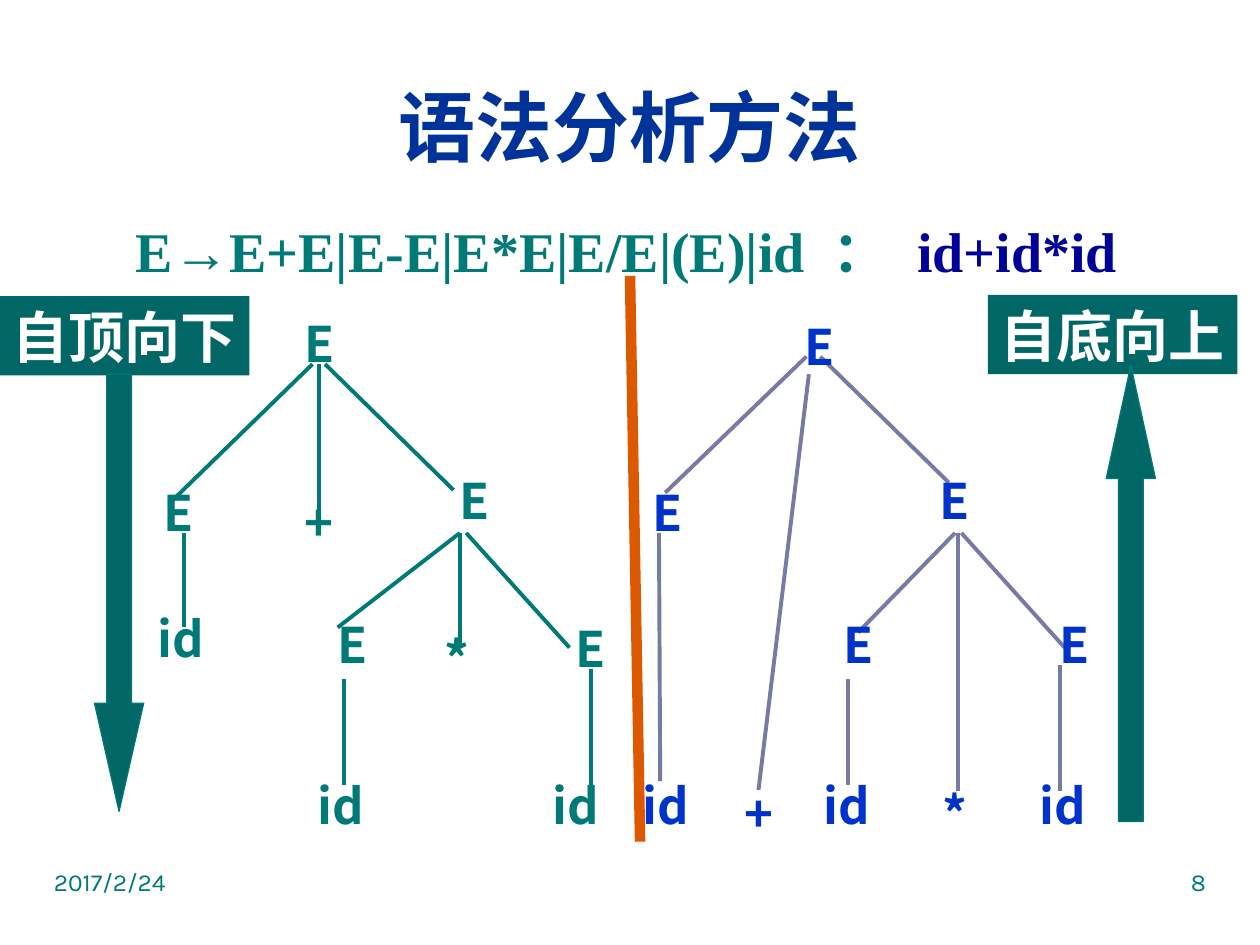
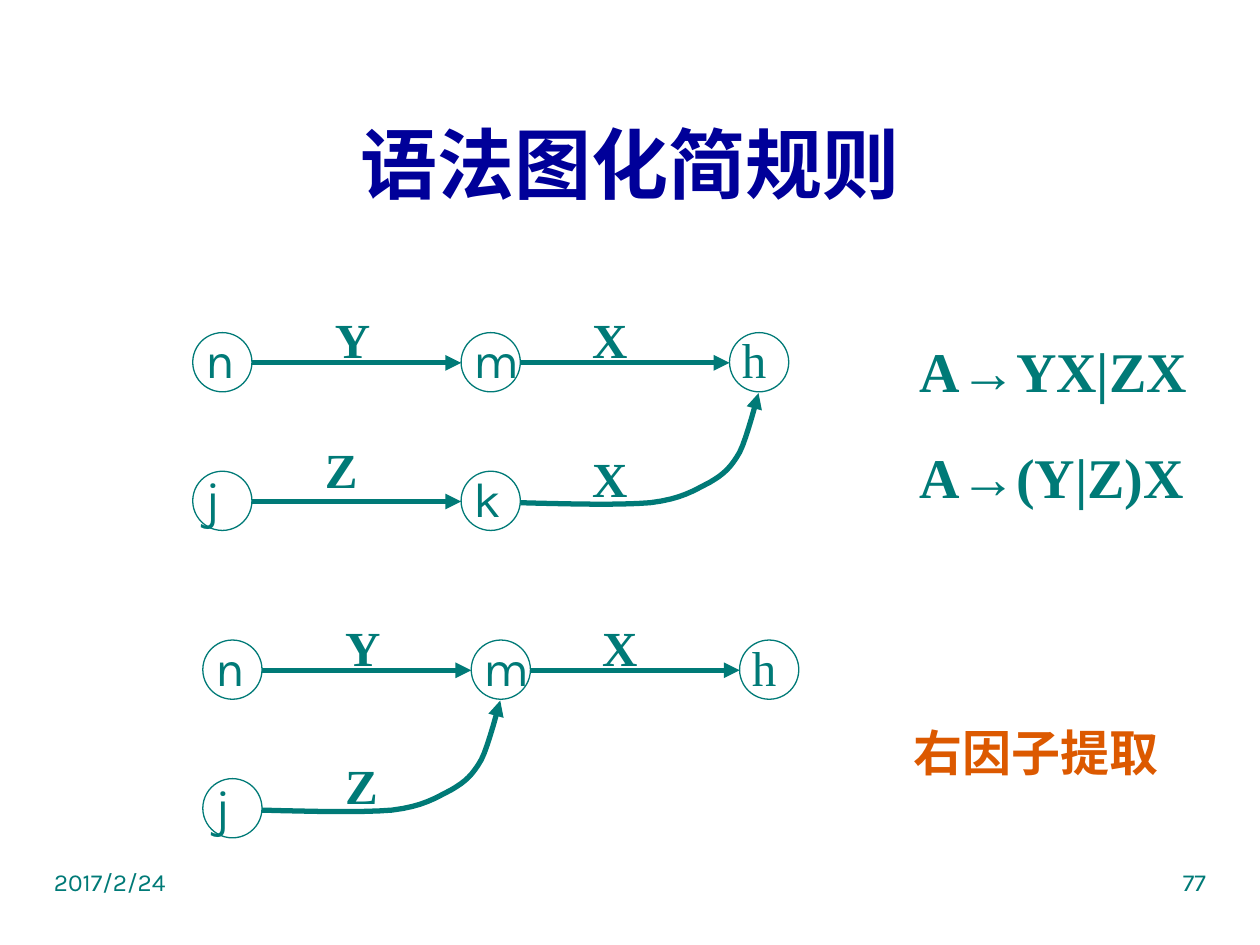
from lxml.etree import SubElement
from pptx import Presentation
from pptx.dml.color import RGBColor
from pptx.enum.shapes import MSO_CONNECTOR as LINE, MSO_SHAPE as SHAPE
from pptx.enum.text import MSO_ANCHOR as ANCHOR, PP_ALIGN as ALIGN
from pptx.oxml.ns import qn
from pptx.util import Inches, Pt

TEAL, DARK_TEAL, NAVY, BLUE = "007A77", "006666", "000099", "0033CC"
TITLE_BLUE, LILAC, ORANGE, WHITE = "003399", "7979A5", "DC5900", "FFFFFF"
SERIF, SANS, CJK = "Times New Roman", "Karla", "Noto Sans CJK SC"
DATE = "2017/2/24"

# Grammar line: (text, colour) runs, with tab stops in inches
GRAMMAR = [("E→E+E|E-E|E*E|E/E|(E)|id\t：\t", TEAL), ("id+id*id", NAVY)]
GRAMMAR_TABS = [5.53, 6.2]

# Parse trees: nodes are (text, left, top), branches are (x1, y1, x2, y2)
TREES = [
    {
        "text": TEAL, "line": TEAL,
        "nodes": [("E", 2.32, 2.39), ("E", 1.2, 3.73), ("+", 2.32, 3.81),
                  ("E", 3.55, 3.64), ("id", 1.15, 4.73), ("E", 2.58, 4.78),
                  ("*", 3.43, 4.89), ("E", 4.47, 4.81), ("id", 2.42, 6.06),
                  ("id", 4.29, 6.06)],
        "branches": [(1.36, 3.98, 2.48, 2.89), (2.53, 4.06, 2.53, 2.89),
                     (3.6, 3.89, 2.58, 2.89), (1.46, 4.98, 1.46, 4.23),
                     (2.68, 4.98, 3.65, 4.23), (3.65, 4.23, 3.65, 5.14),
                     (3.7, 4.23, 4.52, 5.14), (2.73, 5.39, 2.73, 6.23),
                     (4.69, 5.31, 4.69, 6.31)],
    },
    {
        "text": BLUE, "line": LILAC,
        "nodes": [("E", 6.29, 2.42), ("E", 5.08, 3.73), ("E", 7.36, 3.64),
                  ("E", 6.6, 4.78), ("E", 8.31, 4.78), ("id", 5, 6.06),
                  ("+", 5.81, 6.12), ("id", 6.44, 6.06), ("*", 7.38, 6.12),
                  ("id", 8.15, 6.06)],
        "branches": [(5.28, 3.91, 6.4, 2.83), (6.02, 6.27, 6.42, 2.97),
                     (7.53, 3.83, 6.51, 2.83), (5.24, 6.2, 5.23, 4.23),
                     (6.81, 5.02, 7.58, 4.23), (7.6, 4.23, 7.6, 6.28),
                     (7.63, 4.23, 8.45, 5.14), (6.73, 5.39, 6.73, 6.23),
                     (8.41, 5.28, 8.41, 6.28)],
    },
]
# Directions: (text, banner left, top), (arrow shape, left, top, height, head ratio)
DIRECTIONS = [
    (("自顶向下", 0, 2.35), (SHAPE.DOWN_ARROW, 0.75, 2.97, 3.47, 2.2)),
    (("自底向上", 7.84, 2.34), (SHAPE.UP_ARROW, 8.78, 2.9, 3.62, 2.3)),
]
DIVIDER = (5, 2.19, 5.08, 6.68)

# Syntax graphs: nodes and arrows use (column, row) cells
GRAPHS = [
    {
        "origin": (1.53, 2.64),
        "nodes": {"n": (0, 0), "m": (1, 0), "h": (2, 0), "j": (0, 1), "k": (1, 1)},
        "arrows": ["nm", "mh", "jk"], "curve_from": "k",
        "labels": [("Y", 2.56, 2.41), ("X", 4.6, 2.41),
                   ("Z", 2.48, 3.44), ("X", 4.6, 3.51)],
    },
    {
        "origin": (1.61, 5.08),
        "nodes": {"n": (0, 0), "m": (1, 0), "h": (2, 0), "j": (0, 1)},
        "arrows": ["nm", "mh"], "curve_from": "j",
        "labels": [("Y", 2.64, 4.85), ("X", 4.68, 4.85), ("Z", 2.64, 5.95)],
    },
]
COLUMN, ROW, DIAMETER = 2.13, 1.1, 0.47
# Cubic segments (two controls and an end), measured from the curve's start
CURVE = [
    [(0.39, 0.01), (0.78, 0.02), (1.03, 0)],
    [(1.28, -0.03), (1.38, -0.1), (1.5, -0.16)],
    [(1.62, -0.23), (1.67, -0.28), (1.74, -0.4)],
    [(1.8, -0.52), (1.88, -0.84), (1.89, -0.87)],
]
CURVE_STEPS = 8
RULES = ["A→YX|ZX", "A→(Y|Z)X"]


def rgb(color):
    return RGBColor.from_string(color)


def style(p, size, color, font, bold=False):
    for r in p.runs:
        r.font.size, r.font.bold, r.font.name = Pt(size), bold, font
        r.font.color.rgb = rgb(color)
        SubElement(r._r.get_or_add_rPr(), qn("a:ea"), typeface=CJK)


def add_text(s, lines, at, size, color, font, bold=False, align=ALIGN.LEFT,
             spacing=1.0, gap=0):
    """Add a text box with one paragraph per line, gap points apart."""
    tf = s.shapes.add_textbox(*map(Inches, at)).text_frame
    tf.word_wrap = True
    tf.text = "\n".join(lines)
    for i, p in enumerate(tf.paragraphs):
        p.alignment, p.line_spacing = align, spacing
        p.space_before = Pt(gap if i else 0)
        style(p, size, color, font, bold)


def add_shape(s, kind, at, fill=None, line=None):
    sp = s.shapes.add_shape(kind, *map(Inches, at))
    sp.shadow.inherit = False
    if fill:
        sp.fill.solid()
        sp.fill.fore_color.rgb = rgb(fill)
    else:
        sp.fill.background()
    if line:
        sp.line.color.rgb, sp.line.width = rgb(line), Pt(0.75)
    else:
        sp.line.fill.background()
    return sp


def format_line(sp, color, width, arrow=False):
    sp.line.color.rgb, sp.line.width = rgb(color), Pt(width)
    if arrow:
        SubElement(sp.line._get_or_add_ln(), qn("a:tailEnd"), type="triangle")


def add_line(s, ends, color, width, arrow=False):
    cx = s.shapes.add_connector(LINE.STRAIGHT, *map(Inches, ends))
    format_line(cx, color, width, arrow)
    SubElement(cx._element.spPr, qn("a:effectLst"))


def add_curve_arrow(s, x, y):
    points, start = [], (0, 0)
    for c1, c2, end in CURVE:
        for step in range(1, CURVE_STEPS + 1):
            t = step / CURVE_STEPS
            u = 1 - t
            points.append([
                Inches(o + u**3 * a + 3 * u * u * t * b + 3 * u * t * t * c + t**3 * d)
                for o, a, b, c, d in zip((x, y), start, c1, c2, end)])
        start = end
    builder = s.shapes.build_freeform(Inches(x), Inches(y))
    builder.add_line_segments(points, close=False)
    sp = builder.convert_to_shape()
    sp.shadow.inherit = False
    sp.fill.background()
    format_line(sp, TEAL, 3, arrow=True)


def add_slide(prs, title, top, color, number):
    s = prs.slides.add_slide(prs.slide_layouts[5])
    sp = s.shapes.title
    sp.left, sp.top, sp.width, sp.height = map(Inches, (0.33, top, 9.34, 1.25))
    tf = sp.text_frame
    tf.text, tf.vertical_anchor = title, ANCHOR.MIDDLE
    tf.paragraphs[0].alignment = ALIGN.CENTER
    style(tf.paragraphs[0], 44, color, SERIF, True)
    for text, left, align in [(DATE, 0.33, ALIGN.LEFT), (number, 7.17, ALIGN.RIGHT)]:
        add_text(s, [text], (left, 6.83, 2.5, 0.52), 14, TEAL, SANS, align=align)
    return s


def add_grammar(s):
    tf = s.shapes.add_textbox(*map(Inches, (0.98, 1.67, 8.81, 0.68))).text_frame
    tf.word_wrap = True
    p = tf.paragraphs[0]
    tabs = SubElement(p._p.get_or_add_pPr(), qn("a:tabLst"))
    for stop in GRAMMAR_TABS:
        SubElement(tabs, qn("a:tab"), pos=str(Inches(stop)), algn="l")
    for text, _ in GRAMMAR:
        p.add_run().text = text
    style(p, 32, TEAL, SERIF, True)
    for r, (_, color) in zip(p.runs, GRAMMAR):
        r.font.color.rgb = rgb(color)


def add_tree(s, tree):
    for ends in tree["branches"]:
        add_line(s, ends, tree["line"], 2.25)
    for text, x, y in tree["nodes"]:
        add_text(s, [text], (x, y, 0.77, 0.61), 28, tree["text"], CJK, True,
                 spacing=1.1)


def add_direction(s, banner, arrow):
    text, x, y = banner
    sp = add_shape(s, SHAPE.RECTANGLE, (x, y, 1.98, 0.63), DARK_TEAL)
    tf = sp.text_frame
    tf.text, tf.word_wrap, tf.vertical_anchor = text, False, ANCHOR.TOP
    tf.paragraphs[0].alignment = ALIGN.LEFT
    style(tf.paragraphs[0], 32, WHITE, SANS, True)
    kind, x, y, height, head = arrow
    sp = add_shape(s, kind, (x, y, 0.39, height), DARK_TEAL, TEAL)
    sp.adjustments[0], sp.adjustments[1] = 0.5, head


def add_graph(s, graph):
    x0, y0 = graph["origin"]
    spots = {name: (x0 + COLUMN * col, y0 + ROW * row)
             for name, (col, row) in graph["nodes"].items()}
    for name, (x, y) in spots.items():
        add_shape(s, SHAPE.OVAL, (x, y, DIAMETER, DIAMETER), line=TEAL)
        add_text(s, [name], (x, y - 0.07, DIAMETER, 0.57), 28, TEAL,
                 SERIF if name == "h" else SANS)
    for start, end in graph["arrows"]:
        (x1, y), (x2, _) = spots[start], spots[end]
        add_line(s, (x1 + DIAMETER, y + 0.24, x2, y + 0.24), TEAL, 3, arrow=True)
    for text, x, y in graph["labels"]:
        add_text(s, [text], (x, y, 0.71, 0.57), 28, TEAL, SERIF, True)
    x, y = spots[graph["curve_from"]]
    add_curve_arrow(s, x + DIAMETER, y + 0.25)


def main():
    prs = Presentation()
    prs.slide_width, prs.slide_height = Inches(10), Inches(7.5)

    s = add_slide(prs, "语法分析方法", 0.37, TITLE_BLUE, "8")
    add_grammar(s)
    for tree in TREES:
        add_tree(s, tree)
    for banner, arrow in DIRECTIONS:
        add_direction(s, banner, arrow)
    add_line(s, DIVIDER, ORANGE, 6)

    s = add_slide(prs, "语法图化简规则", 0.67, NAVY, "77")
    for graph in GRAPHS:
        add_graph(s, graph)
    add_text(s, RULES, (7.2, 2.57, 2.42, 1.54), 32, TEAL, SERIF, True,
             spacing=1.1, gap=18)
    add_text(s, ["右因子提取"], (7.15, 5.64, 2.42, 0.61), 28, ORANGE, SERIF, True,
             spacing=1.1)

    prs.save("out.pptx")


if __name__ == "__main__":
    main()
